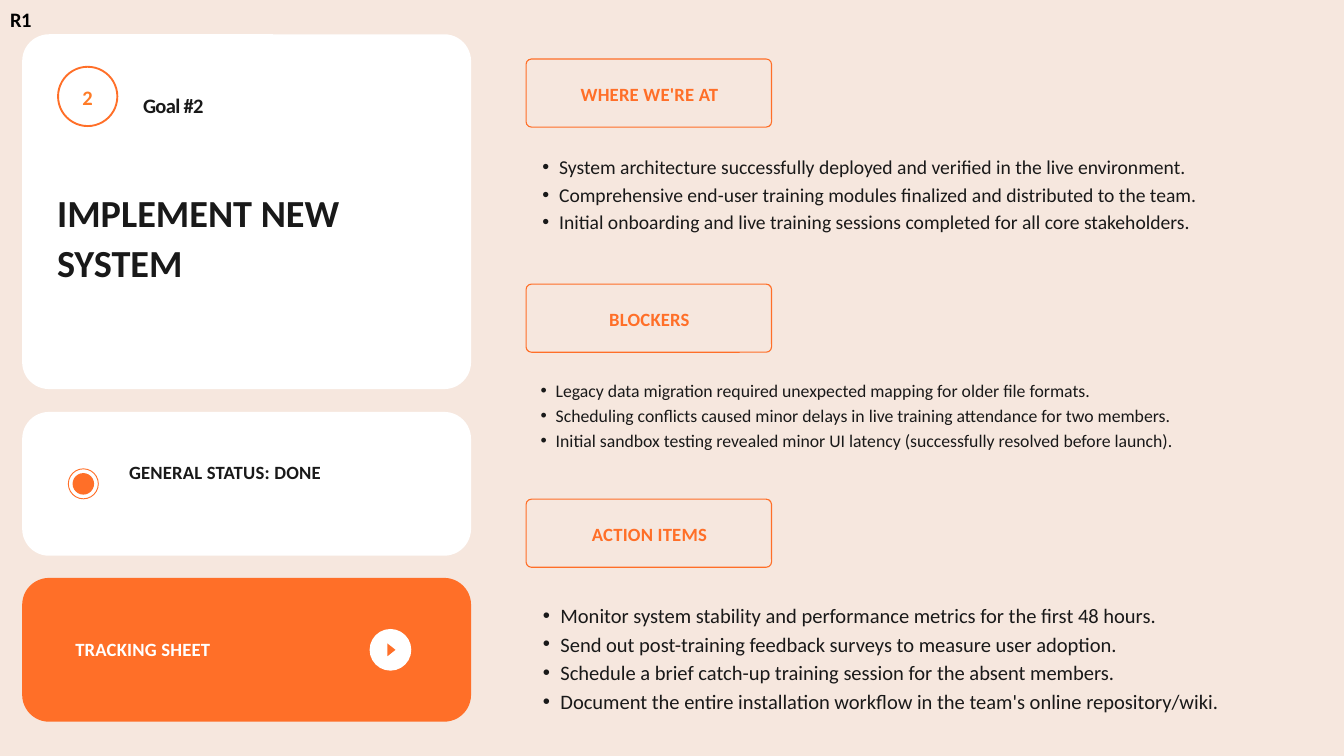
"""Build the goal status slide with its cards, sections and bullet lists."""
from typing import NamedTuple, Optional

from lxml import etree
from pptx import Presentation
from pptx import util as u
from pptx.dml.color import RGBColor
from pptx.enum import shapes, text
from pptx.oxml import ns

SAND = RGBColor(0xF6, 0xE7, 0xDE)
ORANGE = RGBColor(0xFF, 0x6F, 0x28)
AMBER = RGBColor(0xFF, 0x7B, 0x26)
WHITE = RGBColor(0xFF, 0xFF, 0xFF)
INK = RGBColor(0x19, 0x19, 0x19)
BLACK = RGBColor(0, 0, 0)
FONT = "Calibri"
LEFT = text.PP_ALIGN.LEFT
MID = text.PP_ALIGN.CENTER
KIND = shapes.MSO_SHAPE


class Area(NamedTuple):
    left: float
    top: float
    width: float
    height: float


class Style(NamedTuple):
    size: float
    color: RGBColor
    pitch: float
    bold: bool = True
    track: int = 0
    align: text.PP_ALIGN = LEFT


class Section(NamedTuple):
    name: str
    top: float
    start: float
    depth: float
    size: float
    indent: float
    items: list[str]


CARDS = [(0.51, 5.28, WHITE), (6.13, 2.14, WHITE), (8.6, 2.14, ORANGE)]

LABELS = [
    ("Goal #2", Area(2.13, 1.36, 3.1, 0.39), Style(22, INK, 28.6, track=-70)),
    ("TRACKING SHEET", Area(1.12, 9.47, 3.31, 0.36), Style(20, WHITE, 26, track=20)),
    ("GENERAL STATUS: DONE", Area(1.92, 6.83, 3.07, 0.71), Style(20, INK, 26, track=20)),
    ("R1", Area(0.12, 0.07, 0.38, 0.39), Style(22, BLACK, 28.6, track=-70, align=MID)),
    ("2", Area(1.05, 1.24, 0.51, 0.38), Style(22, AMBER, 28.6, track=-70, align=MID)),
]

SECTIONS = [
    Section("WHERE WE'RE AT", 0.87, 2.25, 1.46, 21, 0.5, [
        "System architecture successfully deployed and verified in the live environment.",
        "Comprehensive end-user training modules finalized and distributed to the team.",
        "Initial onboarding and live training sessions completed for all core stakeholders.",
    ]),
    Section("BLOCKERS", 4.22, 5.6, 1.08, 19, 0.45, [
        "Legacy data migration required unexpected mapping for older file formats.",
        "Scheduling conflicts caused minor delays in live training attendance for two members.",
        "Initial sandbox testing revealed minor UI latency (successfully resolved before launch).",
    ]),
    Section("ACTION ITEMS", 7.42, 8.91, 2.12, 22, 0.52, [
        "Monitor system stability and performance metrics for the first 48 hours.",
        "Send out post-training feedback surveys to measure user adoption.",
        "Schedule a brief catch-up training session for the absent members.",
        "Document the entire installation workflow in the team's online repository/wiki.",
    ]),
]


def place(shape, area: Area) -> None:
    """Move and size a shape in inches."""
    shape.left, shape.top, shape.width, shape.height = map(u.Inches, area)


def draw(slide, kind, area: Area, fill: Optional[RGBColor] = None,
         line: float = 0, radius: float = 0):
    """Add a flat shape, with its orange outline kept inside the area."""
    edge = line / 72
    box = Area(area.left + edge / 2, area.top + edge / 2,
               area.width - edge, area.height - edge)
    shape = slide.shapes.add_shape(kind, *map(u.Inches, box))
    shape.shadow.inherit = False
    if fill is None:
        shape.fill.background()
    else:
        shape.fill.solid()
        shape.fill.fore_color.rgb = fill
    if line:
        shape.line.color.rgb = ORANGE
        shape.line.width = u.Pt(line)
    else:
        shape.line.fill.background()
    if radius:
        shape.adjustments[0] = radius / min(box.width, box.height)
    return shape


def write(shape, lines: list[str], style: Style, indent: float = 0) -> None:
    """Fill a text shape, with bullets when an indent is given."""
    frame = shape.text_frame
    frame.text = "\n".join(lines)
    frame.word_wrap = True
    frame.auto_size = text.MSO_AUTO_SIZE.NONE
    frame.vertical_anchor = text.MSO_ANCHOR.TOP
    frame.margin_left = frame.margin_right = 0
    frame.margin_top = frame.margin_bottom = 0
    for para in frame.paragraphs:
        para.alignment = style.align
        para.line_spacing = u.Pt(style.pitch)
        if indent:
            para.level = 1
            props = para._p.get_or_add_pPr()
            props.set("marL", str(u.Inches(indent)))
            props.set("indent", str(u.Inches(-indent / 2)))
            etree.SubElement(props, ns.qn("a:buFont")).set("typeface", "Arial")
            etree.SubElement(props, ns.qn("a:buChar")).set("char", "•")
        for run in para.runs:
            run.font.name = FONT
            run.font.size = u.Pt(style.size)
            run.font.bold = style.bold
            run.font.color.rgb = style.color
            if style.track:
                run._r.get_or_add_rPr().set("spc", str(style.track))


def label(slide, lines: list[str], area: Area, style: Style, indent: float = 0) -> None:
    """Add a text box."""
    box = slide.shapes.add_textbox(*map(u.Inches, area))
    write(box, lines, style, indent)


def section(slide, part: Section) -> None:
    """Draw a framed heading and the bullet list below it."""
    draw(slide, KIND.ROUNDED_RECTANGLE, Area(7.82, part.top, 3.67, 1.03),
         line=1.2, radius=0.08)
    label(slide, [part.name], Area(8.13, part.top + 0.33, 3.07, 0.35),
          Style(20, ORANGE, 26, track=20, align=MID))
    label(slide, part.items, Area(7.82, part.start, 11.4, part.depth),
          Style(part.size, INK, part.size * 1.4, bold=False), part.indent)


def main() -> None:
    """Build and save the deck."""
    deck = Presentation()
    deck.slide_width, deck.slide_height = u.Inches(20), u.Inches(11.25)
    slide = deck.slides.add_slide(deck.slide_layouts[5])
    slide.background.fill.solid()
    slide.background.fill.fore_color.rgb = SAND

    for top, height, fill in CARDS:
        draw(slide, KIND.ROUNDED_RECTANGLE, Area(0.33, top, 6.68, height), fill, radius=0.4)

    draw(slide, KIND.OVAL, Area(0.85, 0.98, 0.91, 0.91), line=2)
    draw(slide, KIND.OVAL, Area(1.01, 6.97, 0.46, 0.46), line=1)
    draw(slide, KIND.OVAL, Area(1.08, 7.04, 0.32, 0.32), ORANGE)
    draw(slide, KIND.OVAL, Area(5.5, 9.36, 0.62, 0.62), WHITE)
    arrow = draw(slide, KIND.ISOSCELES_TRIANGLE, Area(5.73, 9.61, 0.19, 0.12), ORANGE)
    arrow.rotation = 90

    title = slide.shapes.title
    place(title, Area(0.85, 2.76, 5.64, 1.46))
    write(title, ["IMPLEMENT NEW SYSTEM"], Style(41, INK, 53.3))
    slide.shapes._spTree.append(title._element)

    for words, area, style in LABELS:
        label(slide, [words], area, style)
    for part in SECTIONS:
        section(slide, part)
    deck.save("out.pptx")


if __name__ == "__main__":
    main()
